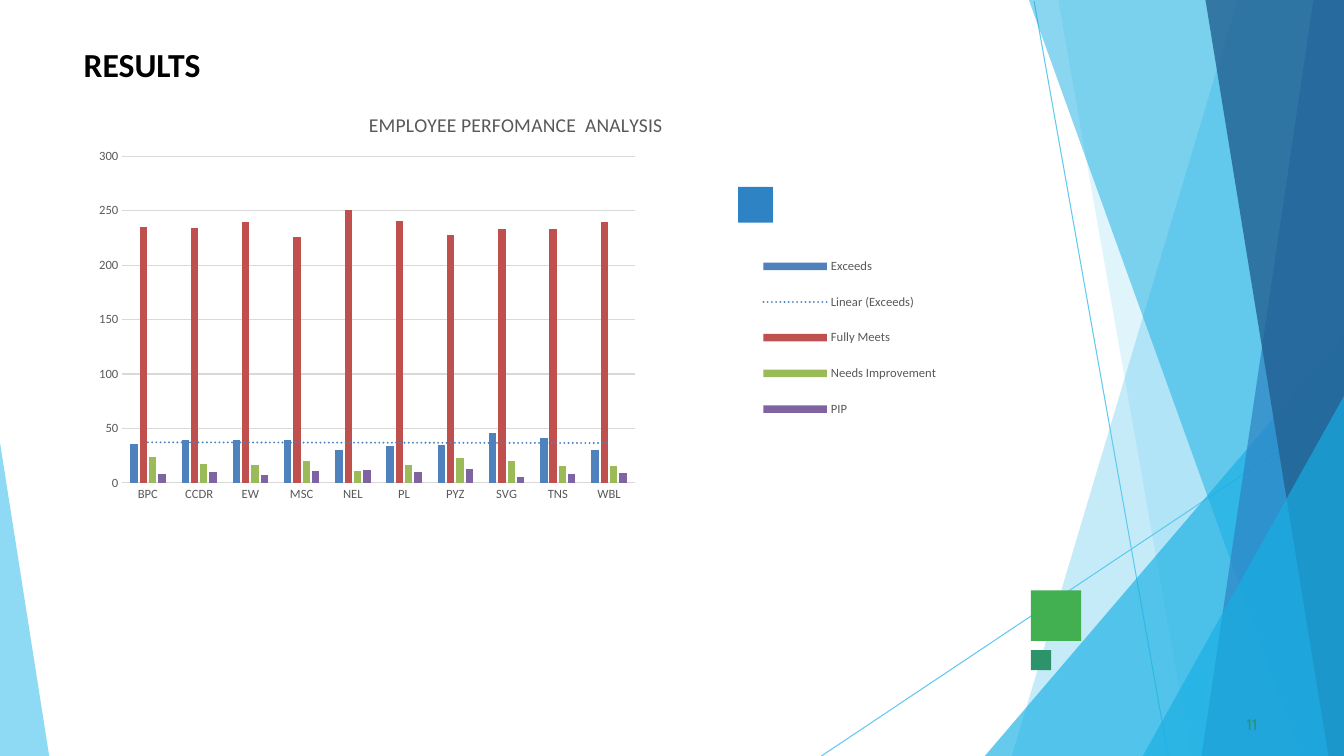
from lxml import etree
from pptx import Presentation
from pptx.chart.data import CategoryChartData
from pptx.dml.color import RGBColor
from pptx.enum.chart import XL_CHART_TYPE as CT, XL_LEGEND_POSITION as LP, XL_TICK_MARK as TM
from pptx.enum.shapes import MSO_CONNECTOR, MSO_SHAPE
from pptx.enum.text import MSO_ANCHOR, PP_ALIGN
from pptx.oxml import parse_xml
from pptx.oxml.ns import nsdecls, qn
from pptx.util import Cm, Pt

SKY = RGBColor(0x5F, 0xCA, 0xEE)
CYAN = RGBColor(0x17, 0xAF, 0xE3)
BLUE = RGBColor(0x2D, 0x83, 0xC3)
NAVY = RGBColor(0x22, 0x61, 0x92)
GREEN = RGBColor(0x42, 0xAF, 0x51)
TEAL = RGBColor(0x2D, 0x93, 0x6B)
BLACK = RGBColor(0, 0, 0)
GREY = RGBColor(0x59, 0x59, 0x59)
GRID = RGBColor(0xD9, 0xD9, 0xD9)
EXCEEDS = RGBColor(0x4F, 0x81, 0xBD)
MEETS = RGBColor(0xC0, 0x50, 0x4D)
IMPROVE = RGBColor(0x9B, 0xBB, 0x59)
PIP = RGBColor(0x80, 0x64, 0xA2)
W, H = 33.87, 19.05


def paint(sp, color, alpha=100):
    sp.shadow.inherit = False
    sp.fill.solid()
    sp.fill.fore_color.rgb = color
    sp.line.fill.background()
    if alpha < 100:
        clr = sp.fill._xPr.find(".//" + qn("a:srgbClr"))
        etree.SubElement(clr, qn("a:alpha")).set("val", str(alpha * 1000))


def set_layout(parent, x, y, w, h, inner=False):
    target = '<c:layoutTarget val="inner"/>' if inner else ""
    layout = parse_xml(
        f'<c:layout {nsdecls("c")}><c:manualLayout>{target}'
        '<c:xMode val="edge"/><c:yMode val="edge"/>'
        f'<c:x val="{x}"/><c:y val="{y}"/><c:w val="{w}"/><c:h val="{h}"/>'
        '</c:manualLayout></c:layout>')
    for old in parent.findall(qn("c:layout")):
        parent.remove(old)
    # The layout follows the legend position, or opens the plot area
    pos = parent.find(qn("c:legendPos"))
    if pos is None:
        parent.insert(0, layout)
    else:
        pos.addnext(layout)


prs = Presentation()
prs.slide_width, prs.slide_height = Cm(W), Cm(H)
s = prs.slides.add_slide(prs.slide_layouts[5])

# Thin background lines
for x1, y1, x2, y2 in [(26.06, 0.03, 29.44, H), (W, 10.26, 20.7, H)]:
    cn = s.shapes.add_connector(MSO_CONNECTOR.STRAIGHT, Cm(x1), Cm(y1), Cm(x2), Cm(y2))
    cn.line.color.rgb = SKY
    cn.line.width = Pt(0.75)
    etree.SubElement(cn._element.spPr, qn("a:effectLst"))

# Translucent background facets
facets = [
    ([(W, 0), (31.19, 0), (25.5, H), (W, H)], SKY, 36),
    ([(W, 0), (26.67, 0), (30.02, H), (W, H)], SKY, 20),
    ([(W, 8.46), (24.82, H), (W, H)], CYAN, 66),
    ([(W, 0), (25.93, 0), (32.79, H), (W, H)], CYAN, 50),
    ([(W, 0), (33.1, 0), (30.28, H), (W, H)], BLUE, 70),
    ([(W, 0), (30.38, 0), (33.48, H), (W, H)], NAVY, 80),
    ([(W, 9.98), (28.8, H), (W, H)], CYAN, 66),
    ([(0, 11.15), (0, H), (1.24, H)], SKY, 70),
]
for corners, color, alpha in facets:
    pts = [(Cm(x), Cm(y)) for x, y in corners]
    fb = s.shapes.build_freeform(*pts[0])
    fb.add_line_segments(pts[1:], close=True)
    paint(fb.convert_to_shape(), color, alpha)

# Small squares
for x, y, w, h, color in [(25.98, 14.88, 1.27, 1.27, GREEN),
                          (18.6, 4.71, 0.88, 0.9, BLUE),
                          (25.98, 16.38, 0.51, 0.51, TEAL)]:
    sp = s.shapes.add_shape(MSO_SHAPE.RECTANGLE, Cm(x), Cm(y), Cm(w), Cm(h))
    paint(sp, color)

# Title and slide number
title = s.shapes.title
title.left, title.top, title.width, title.height = Cm(2.11), Cm(1.07), Cm(6.78), Cm(3.12)
number = s.shapes.add_textbox(Cm(31.32), Cm(17.98), Cm(0.8), Cm(0.53))
for sp, text, size, font, color, bold in [
        (title, "RESULTS", 24, "Calibri", BLACK, True),
        (number, "11", 11, "Cabin", TEAL, False)]:
    tf = sp.text_frame
    tf.word_wrap = True
    tf.vertical_anchor = MSO_ANCHOR.TOP
    tf.margin_left = tf.margin_right = tf.margin_bottom = 0
    tf.margin_top = Cm(0.03)
    p = tf.paragraphs[0]
    p.text = text
    p.alignment = PP_ALIGN.LEFT
    p.space_before = Pt(1)
    p.font.size, p.font.name, p.font.bold = Pt(size), font, bold
    p.font.color.rgb = color
number.text_frame.margin_left = Cm(0.1)

# Performance chart
series = [
    ("Exceeds", (36, 39, 39, 39, 30, 34, 35, 46, 41, 30), EXCEEDS),
    ("Fully Meets", (235, 234, 240, 226, 251, 241, 228, 233, 233, 240), MEETS),
    ("Needs Improvement", (24, 17, 16, 20, 11, 16, 23, 20, 15, 15), IMPROVE),
    ("PIP", (8, 10, 7, 11, 12, 10, 13, 5, 8, 9), PIP),
]
data = CategoryChartData()
data.categories = ["BPC", "CCDR", "EW", "MSC", "NEL", "PL", "PYZ", "SVG", "TNS", "WBL"]
for name, values, _ in series:
    data.add_series(name, values)
chart = s.shapes.add_chart(CT.COLUMN_CLUSTERED, Cm(1.47), Cm(2.34),
                           Cm(23.06), Cm(11.43), data).chart
chart.font.name, chart.font.size = "Calibri", Pt(10)
chart.has_title = True
p = chart.chart_title.text_frame.paragraphs[0]
p.text = "EMPLOYEE PERFOMANCE  ANALYSIS"
p.font.name, p.font.size, p.font.bold = "Calibri", Pt(14), False
p.font.color.rgb = GREY
chart.chart_title.include_in_layout = False

plot = chart.plots[0]
plot.gap_width, plot.overlap, plot.vary_by_categories = 219, -27, False
for ser, (_, _, color) in zip(plot.series, series):
    ser.format.fill.solid()
    ser.format.fill.fore_color.rgb = color
    ser.invert_if_negative = False

# Linear trend of the first series
trend = parse_xml(
    f'<c:trendline {nsdecls("c", "a")}><c:spPr><a:ln w="19050" cap="rnd"><a:solidFill>'
    f'<a:srgbClr val="{EXCEEDS}"/></a:solidFill><a:prstDash val="sysDot"/></a:ln></c:spPr>'
    '<c:trendlineType val="linear"/><c:dispRSqr val="0"/><c:dispEq val="0"/></c:trendline>')
plot.series[0]._element.find(qn("c:cat")).addprevious(trend)

# Axes and legend
cat, val = chart.category_axis, chart.value_axis
chart.has_legend = True
legend = chart.legend
legend.position = LP.RIGHT
legend.include_in_layout = False
for ax in (cat, val):
    ax.major_tick_mark = ax.minor_tick_mark = TM.NONE
for font in (cat.tick_labels.font, val.tick_labels.font, legend.font):
    font.name, font.size = "Calibri", Pt(9)
    font.color.rgb = GREY
val.minimum_scale, val.maximum_scale, val.major_unit = 0, 300, 50
val.format.line.fill.background()
for line in (cat.format.line, val.major_gridlines.format.line):
    line.color.rgb = GRID
    line.width = Pt(0.75)
set_layout(chart._chartSpace.chart.plotArea, 0.07, 0.14, 0.56, 0.72, inner=True)
set_layout(legend._element, 0.73, 0.32, 0.27, 0.44)

prs.save("out.pptx")
